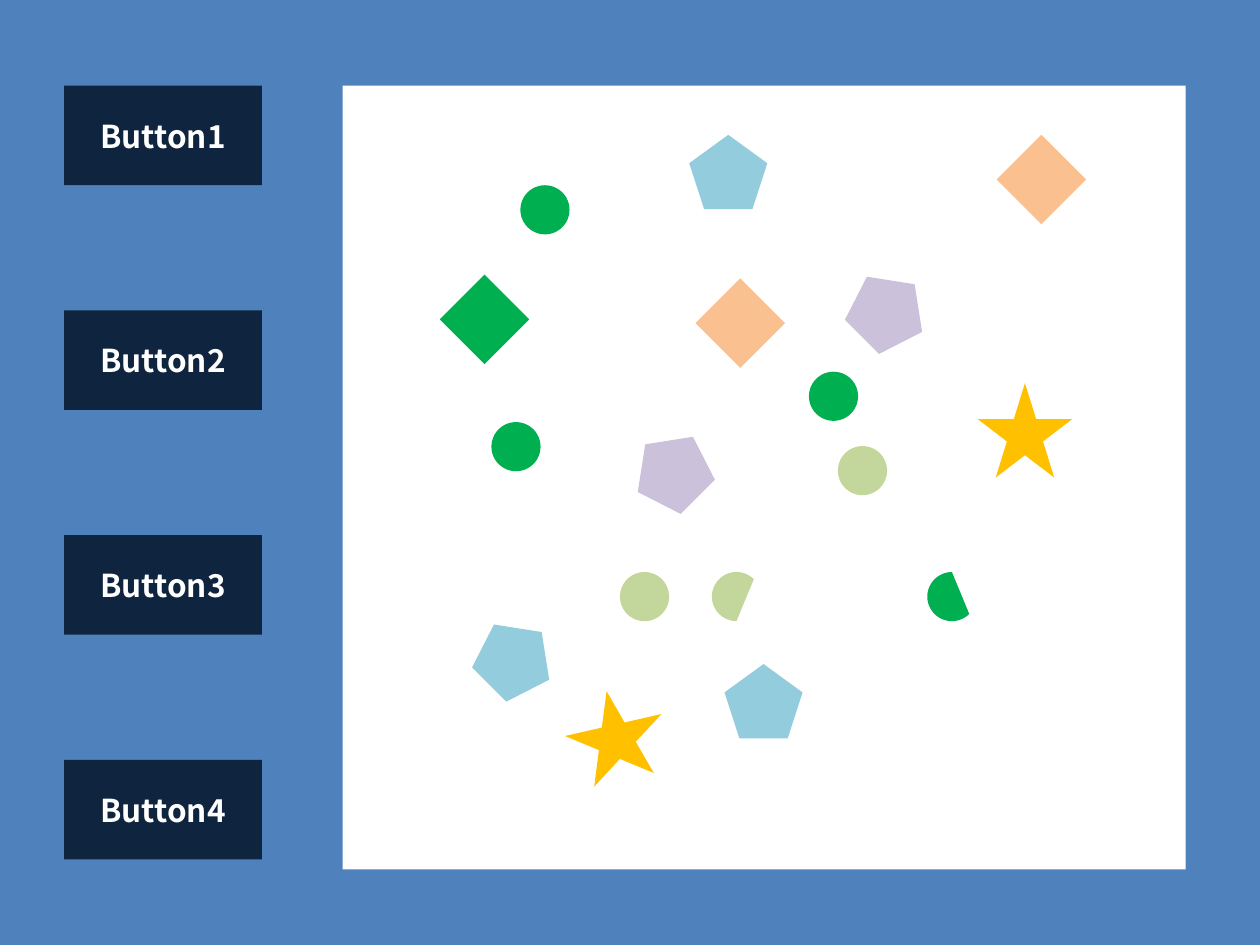
from dataclasses import dataclass

from pptx import Presentation
from pptx.dml.color import RGBColor
from pptx.enum.shapes import MSO_SHAPE
from pptx.enum.text import MSO_ANCHOR, PP_ALIGN
from pptx.util import Inches, Pt

RECTANGLE = MSO_SHAPE.RECTANGLE
CIRCLE = MSO_SHAPE.OVAL
PENTAGON = MSO_SHAPE.REGULAR_PENTAGON
DIAMOND = MSO_SHAPE.DIAMOND
CHORD = MSO_SHAPE.CHORD
STAR = MSO_SHAPE.STAR_5_POINT
MIDDLE = MSO_ANCHOR.MIDDLE
CENTER = PP_ALIGN.CENTER


@dataclass(frozen=True)
class Theme:
    font: str = "Noto Sans CJK KR"
    button_size: int = 18
    backdrop: str = "4F81BD"
    button: str = "0F243E"
    white: str = "FFFFFF"
    green: str = "00B050"
    olive: str = "C3D69B"
    aqua: str = "93CDDD"
    lilac: str = "CCC1DA"
    peach: str = "FAC090"
    gold: str = "FFC000"


THEME = Theme()

SIZES = {
    CIRCLE: (0.39, 0.39),
    PENTAGON: (0.62, 0.59),
    DIAMOND: (0.71, 0.71),
    CHORD: (0.39, 0.39),
    STAR: (0.75, 0.75),
}

PIECES = [
    (CIRCLE, THEME.green, 4.13, 1.47, 0),
    (CIRCLE, THEME.green, 6.42, 2.95, 0),
    (CIRCLE, THEME.green, 3.9, 3.35, 0),
    (PENTAGON, THEME.aqua, 5.47, 1.07, 0),
    (PENTAGON, THEME.lilac, 5.02, 3.44, 315),
    (PENTAGON, THEME.aqua, 3.78, 4.93, 45),
    (PENTAGON, THEME.aqua, 5.75, 5.27, 0),
    (CIRCLE, THEME.olive, 4.92, 4.54, 0),
    (CIRCLE, THEME.olive, 6.65, 3.54, 0),
    (PENTAGON, THEME.lilac, 6.74, 2.17, 45),
    (DIAMOND, THEME.peach, 7.91, 1.07, 0),
    (DIAMOND, THEME.peach, 5.52, 2.21, 0),
    (DIAMOND, THEME.green, 3.49, 2.18, 0),
    (CHORD, THEME.green, 7.36, 4.54, 0),
    (CHORD, THEME.olive, 5.65, 4.54, 45),
    (STAR, THEME.gold, 7.76, 3.04, 0),
    (STAR, THEME.gold, 4.55, 5.48, 60),
]

BUTTON_COUNT = 4
BUTTON_TOP = 0.68
BUTTON_STEP = (6.03 - BUTTON_TOP) / (BUTTON_COUNT - 1)


def add_figure(slide, kind, color, left, top, width, height, rotation=0):
    figure = slide.shapes.add_shape(
        kind, Inches(left), Inches(top), Inches(width), Inches(height))
    figure.shadow.inherit = False
    figure.fill.solid()
    figure.fill.fore_color.rgb = RGBColor.from_string(color)
    figure.line.fill.background()
    figure.rotation = rotation
    return figure


def add_button(slide, label, top):
    button = add_figure(slide, RECTANGLE, THEME.button, 0.51, top, 1.57, 0.79)
    frame = button.text_frame
    frame.vertical_anchor = MIDDLE
    paragraph = frame.paragraphs[0]
    paragraph.alignment = CENTER
    run = paragraph.add_run()
    run.text = label
    run.font.name = THEME.font
    run.font.size = Pt(THEME.button_size)
    run.font.bold = True
    run.font.color.rgb = RGBColor.from_string(THEME.white)


def main():
    deck = Presentation()
    deck.slide_width = Inches(10)
    deck.slide_height = Inches(7.5)
    slide = deck.slides.add_slide(deck.slide_layouts[6])

    add_figure(slide, RECTANGLE, THEME.backdrop, 0, -0.02, 10, 7.52)
    for index in range(BUTTON_COUNT):
        add_button(slide, f"Button{index + 1}", BUTTON_TOP + index * BUTTON_STEP)
    add_figure(slide, RECTANGLE, THEME.white, 2.72, 0.68, 6.69, 6.22)
    for kind, color, left, top, rotation in PIECES:
        add_figure(slide, kind, color, left, top, *SIZES[kind], rotation)

    deck.save("out.pptx")


main()
